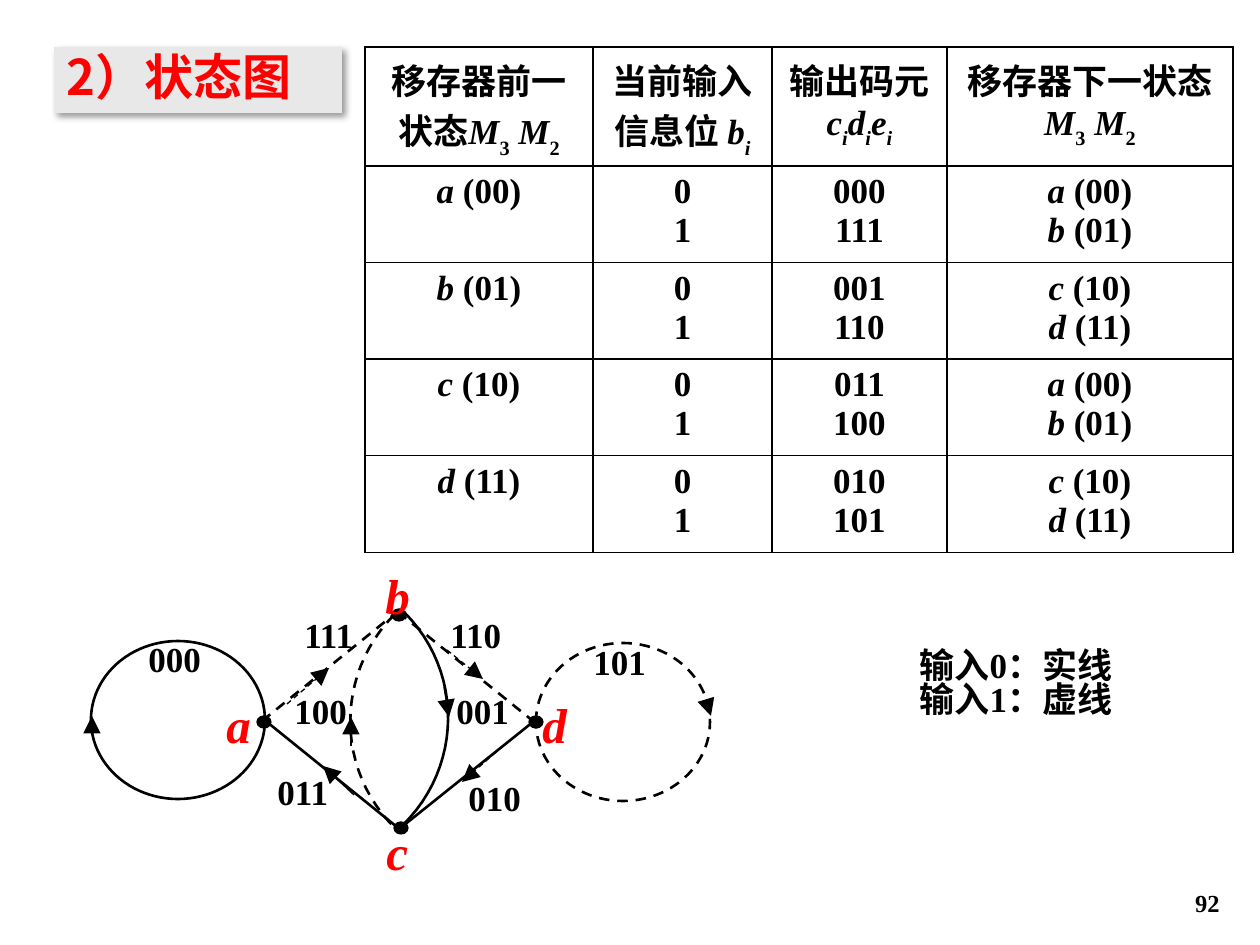
"""Build the state diagram slide of a convolutional code."""
from lxml import etree
from pptx import Presentation
from pptx import util as u
from pptx.dml.color import RGBColor
from pptx.enum import dml, shapes, text
from pptx.oxml import parse_xml
from pptx.oxml.ns import nsdecls, qn

BLACK = RGBColor(0x00, 0x00, 0x00)
WHITE = RGBColor(0xFF, 0xFF, 0xFF)
RED = RGBColor(0xFF, 0x00, 0x00)
GREY = RGBColor(0xE8, 0xE8, 0xE8)
LATIN, CHINESE = "Times New Roman", "Noto Sans CJK SC"
PX = u.Inches(1) / 126


def px(*lengths):
    return [round(length * PX) for length in lengths]


def write(paragraph, runs, size=20, color=BLACK, align=None, latin=LATIN):
    for words, style in runs:
        run = paragraph.add_run()
        run.text = words
        if "i" in style:
            run.font.italic = True
        if "s" in style:
            run.font._element.set("baseline", "-30000")
    paragraph.alignment = align
    font = paragraph.font
    font.size, font.bold, font.name = u.Pt(size), True, latin
    font.color.rgb = color
    etree.SubElement(font._element, qn("a:ea")).set("typeface", CHINESE)


presentation = Presentation()
presentation.slide_width, presentation.slide_height = px(1260, 945)
slide = presentation.slides.add_slide(presentation.slide_layouts[5])

title = slide.shapes.title
title.left, title.top, title.width, title.height = px(54, 47, 288, 66)
title.fill.solid()
title.fill.fore_color.rgb = GREY
title.text_frame.auto_size = text.MSO_AUTO_SIZE.NONE
title.text_frame.vertical_anchor = text.MSO_ANCHOR.TOP
title.text_frame.paragraphs[0].line_spacing = 0.9
write(title.text_frame.paragraphs[0], [("2）状态图", "")], 28, RED,
      text.PP_ALIGN.LEFT, CHINESE)
title._element.spPr.append(parse_xml(
    f'<a:effectLst {nsdecls("a")}><a:outerShdw blurRad="50800" dist="38100" '
    'dir="2700000" algn="tl" rotWithShape="0"><a:srgbClr val="000000">'
    '<a:alpha val="40000"/></a:srgbClr></a:outerShdw></a:effectLst>'))

STATES = [("a", "00"), ("b", "01"), ("c", "10"), ("d", "11")]
OUTPUTS = [("000", "111"), ("001", "110"), ("011", "100"), ("010", "101")]
state_runs = [[(name, "i"), (f" ({bits})", "")] for name, bits in STATES]
register = [("M", "i"), ("3", "s"), (" M", "i"), ("2", "s")]
symbols = [run for name in "cde" for run in ((name, "i"), ("i", "is"))]
rows = [[
    [[("移存器前一状态", "")] + register],
    [[("当前输入信息位 ", ""), ("b", "i"), ("i", "is")]],
    [[("输出码元", "")], symbols],
    [[("移存器下一状态", "")], register],
]]
for index, outputs in enumerate(OUTPUTS):
    following = 2 * index % 4
    rows.append([
        [state_runs[index]],
        [[("0", "")], [("1", "")]],
        [[(output, "")] for output in outputs],
        state_runs[following:following + 2],
    ])

table = slide.shapes.add_table(5, 4, *px(365, 47, 868, 483)).table
table.first_row = table.horz_banding = False
for column, width in zip(table.columns, px(228, 179, 175, 286)):
    column.width = width
for row_index, row in enumerate(rows):
    for column_index, paragraphs in enumerate(row):
        cell = table.cell(row_index, column_index)
        for side in "LRTB":
            cell._tc.get_or_add_tcPr().append(parse_xml(
                f'<a:ln{side} {nsdecls("a")} w="12700"><a:solidFill>'
                f'<a:srgbClr val="000000"/></a:solidFill></a:ln{side}>'))
        cell.fill.solid()
        cell.fill.fore_color.rgb = WHITE
        for number, runs in enumerate(paragraphs):
            frame = cell.text_frame
            paragraph = frame.add_paragraph() if number else frame.paragraphs[0]
            write(paragraph, runs, align=text.PP_ALIGN.CENTER)

legend = slide.shapes.add_textbox(*px(907, 644, 220, 97)).text_frame
legend.word_wrap = True
write(legend.paragraphs[0], [("输入0：实线", "")])
write(legend.add_paragraph(), [("输入1：虚线", "")])
for paragraph in legend.paragraphs:
    paragraph.line_spacing = 0.83

ELLIPSES = [
    (91, 641, 174, 158, WHITE, 1.5, False),
    (536, 643, 174, 158, WHITE, 1.5, True),
    (529, 716, 14, 12, BLACK, 0.75, False),
    (257, 716, 14, 12, BLACK, 0.75, False),
    (392, 609, 14, 12, BLACK, 0.75, False),
    (394, 822, 14, 12, BLACK, 0.75, False),
]
for left, top, width, height, fill, weight, dashed in ELLIPSES:
    ellipse = slide.shapes.add_shape(
        shapes.MSO_SHAPE.OVAL, *px(left, top, width, height))
    ellipse.shadow.inherit = False
    ellipse.fill.solid()
    ellipse.fill.fore_color.rgb = fill
    ellipse.line.color.rgb = BLACK
    ellipse.line.width = u.Pt(weight)
    if dashed:
        ellipse.line.dash_style = dml.MSO_LINE.DASH

ARCS = [
    ([(404, 612), (464, 672), (462, 767), (403, 825)], False),
    ([(394, 615), (335, 675), (336, 771), (396, 829)], True),
]
STEPS = 24
for controls, dashed in ARCS:
    points = []
    for step in range(STEPS + 1):
        t = step / STEPS
        weights = ((1 - t) ** 3, 3 * t * (1 - t) ** 2, 3 * t * t * (1 - t), t ** 3)
        points.append(px(*(sum(w * c for w, c in zip(weights, axis))
                           for axis in zip(*controls))))
    builder = slide.shapes.build_freeform(*points[0])
    builder.add_line_segments(points[1:], close=False)
    arc = builder.convert_to_shape()
    arc.shadow.inherit = False
    arc.fill.background()
    arc.line.color.rgb = BLACK
    arc.line.width = u.Pt(1.5)
    if dashed:
        arc.line.dash_style = dml.MSO_LINE.DASH

EDGES = [
    (262, 721, 397, 612, True),
    (262, 718, 397, 827, False),
    (398, 612, 533, 721, True),
    (398, 830, 533, 722, False),
]
ARROWS = [
    (351, 746, 351, 717, True),
    (287, 704, 329, 668, True),
    (503, 746, 462, 782, True),
    (354, 795, 323, 766, False),
    (447, 650, 483, 679, True),
    (444, 687, 449, 717, False),
    (92, 733, 92, 716, False),
    (707, 703, 711, 716, True),
]
for lines, weight in ((EDGES, 1.5), (ARROWS, 0.75)):
    for *ends, dashed in lines:
        connector = slide.shapes.add_connector(
            shapes.MSO_CONNECTOR.STRAIGHT, *px(*ends))
        connector.line.color.rgb = BLACK
        connector.line.width = u.Pt(weight)
        if dashed:
            connector.line.dash_style = dml.MSO_LINE.DASH
        if lines is ARROWS:
            etree.SubElement(connector.line._get_or_add_ln(), qn("a:tailEnd"),
                             type="triangle", w="lg", len="lg")
        etree.SubElement(connector._element.spPr, qn("a:effectLst"))

STATE_LABELS = [("a", 214, 688), ("b", 373, 559), ("c", 374, 815), ("d", 530, 688)]
OUTPUT_LABELS = [
    ("000", 136, 631), ("111", 292, 607), ("101", 581, 634), ("110", 438, 607),
    ("010", 456, 770), ("011", 265, 764), ("100", 282, 683), ("001", 444, 683),
]
for labels, width, size, color, style in (
        (STATE_LABELS, 69, 28, RED, "i"), (OUTPUT_LABELS, 84, 20, BLACK, "")):
    for words, left, top in labels:
        label = slide.shapes.add_textbox(*px(left, top, width, 60)).text_frame
        label.word_wrap = True
        write(label.paragraphs[0], [(words, style)], size, color,
              text.PP_ALIGN.JUSTIFY)

page_number = slide.shapes.add_textbox(*px(970, 861, 262, 63)).text_frame
page_number.word_wrap = True
page_number.vertical_anchor = text.MSO_ANCHOR.BOTTOM
write(page_number.paragraphs[0], [("92", "")], 14, align=text.PP_ALIGN.RIGHT)

presentation.save("out.pptx")
